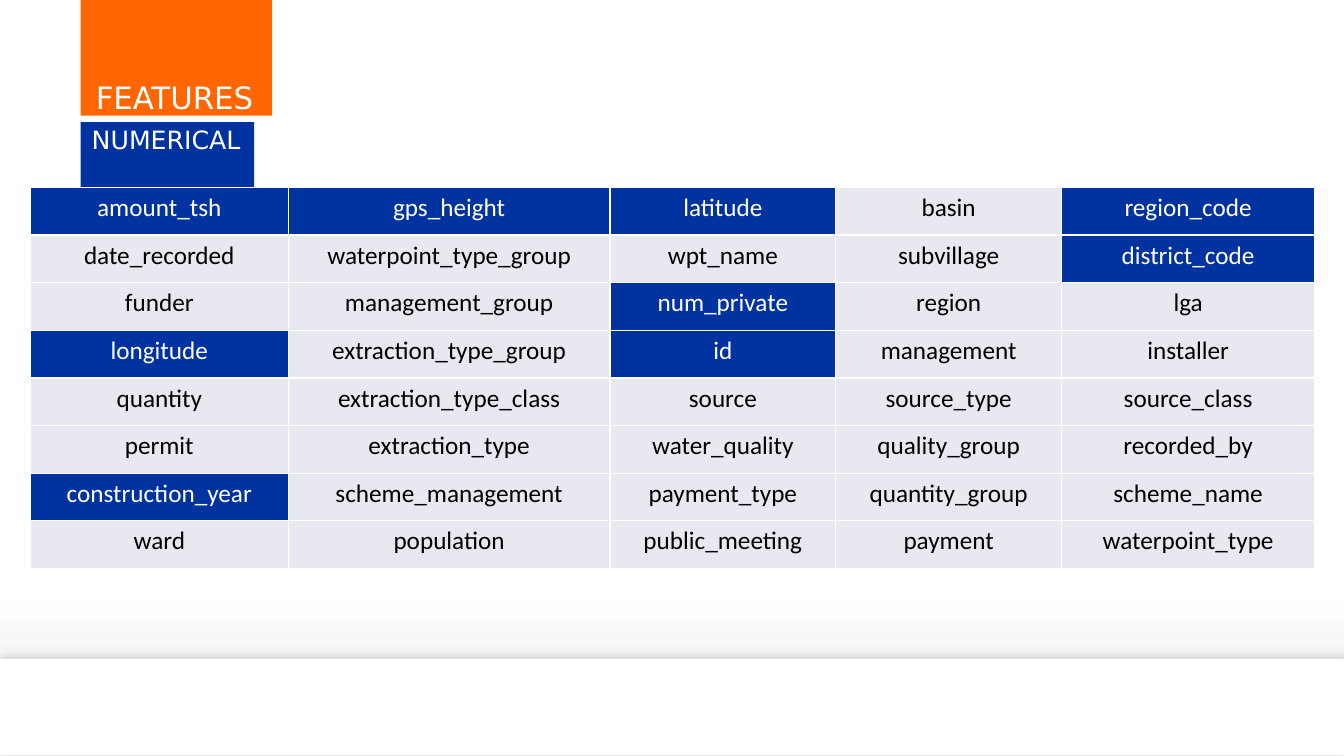
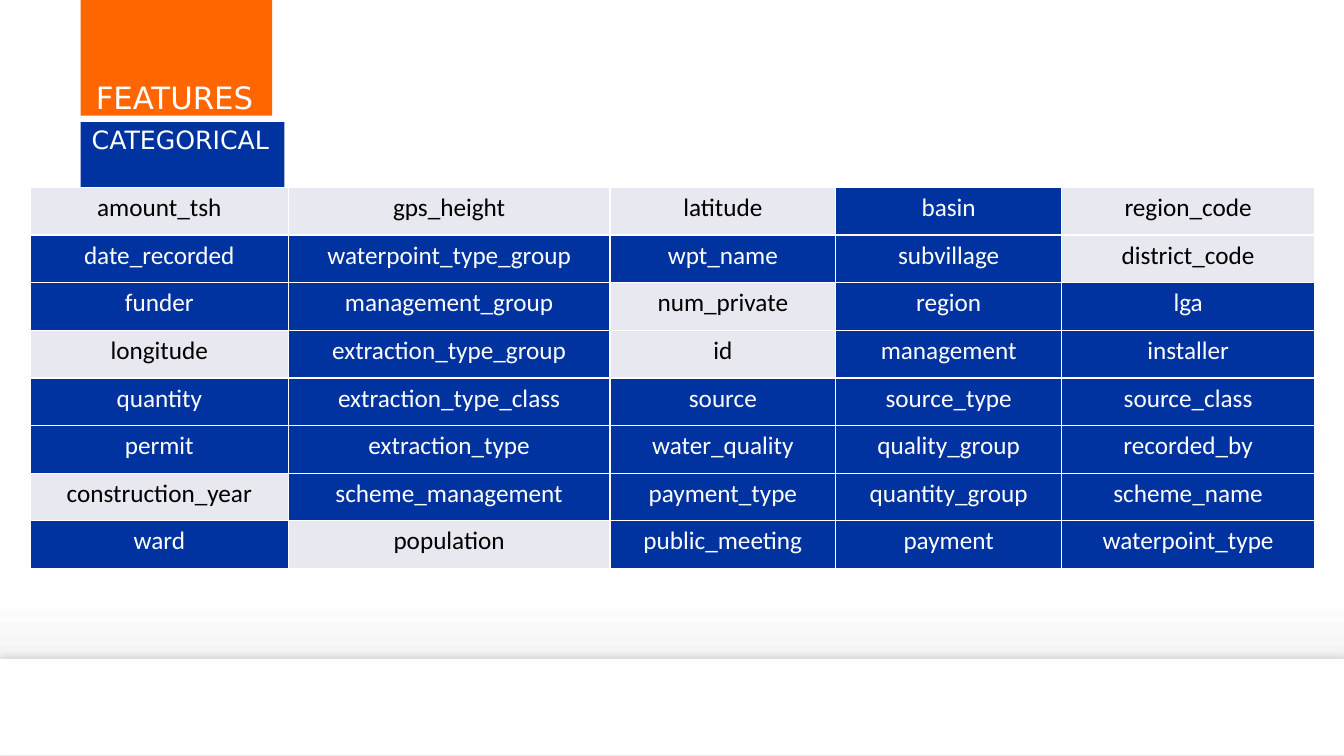
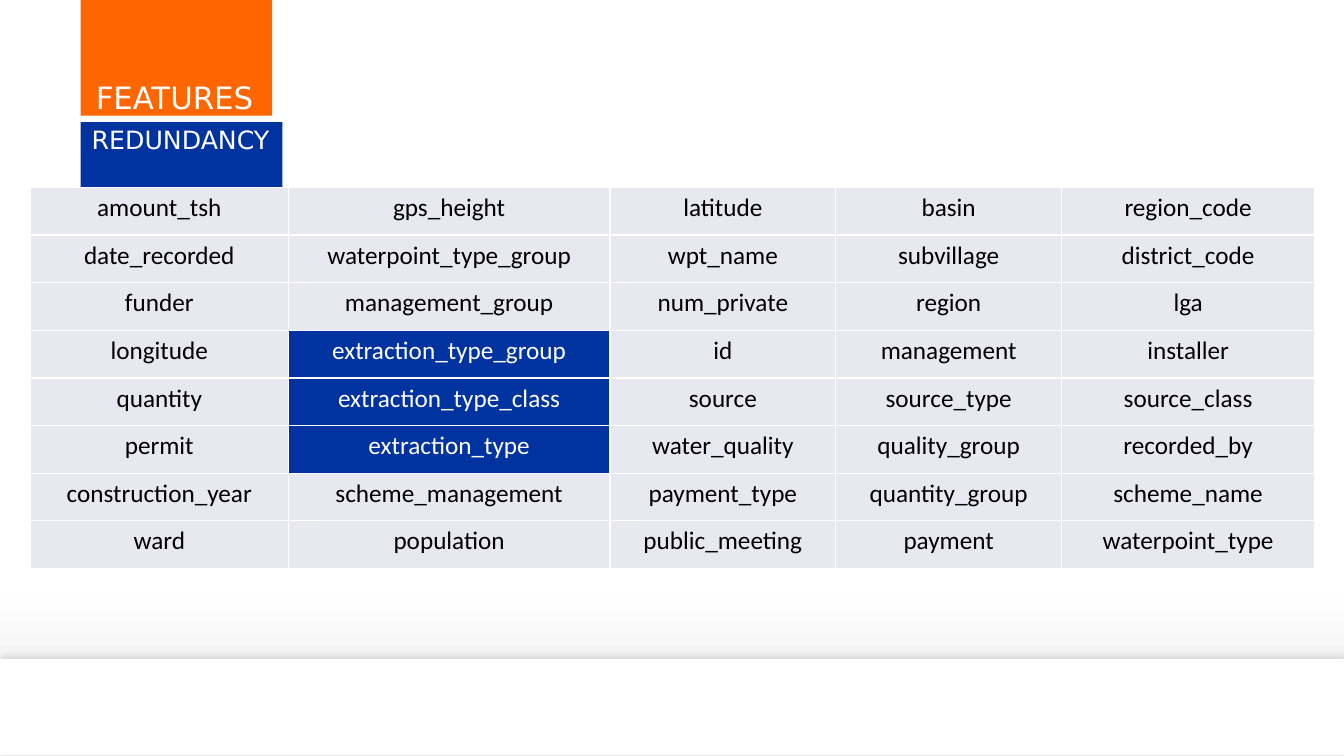
from collections import namedtuple
from copy import deepcopy

from lxml.etree import SubElement
from pptx import Presentation
from pptx.dml.color import RGBColor
from pptx.enum.shapes import MSO_SHAPE
from pptx.enum.text import MSO_ANCHOR, MSO_AUTO_SIZE, PP_ALIGN
from pptx.oxml.ns import qn
from pptx.util import Inches, Pt

Box = namedtuple("Box", "left top width height")

COLORS = {
    "white": "FFFFFF",
    "near_white": "FEFEFE",
    "mist": "EDEDED",
    "orange": "FF6600",
    "blue": "00339F",
    "pale": "E7E8F0",
    "black": "000000",
}
HEADING_FONT = "DejaVu Sans"
TABLE_FONT = "Calibri"
SLIDE_WIDTH, SLIDE_HEIGHT = Inches(13.33), Inches(7.5)

BAND_BOX = Box(0, Inches(6.54), SLIDE_WIDTH, Inches(0.95))
HEADING_BOX = Box(Inches(0.8), Inches(0.78), Inches(1.9), Inches(0.8))
TABLE_BOX = Box(Inches(0.3), Inches(1.16), Inches(12.74), Inches(4.48))
LABEL_SHARE = 0.46
COLUMN_WEIGHTS = (2.56, 3.19, 2.24, 2.24, 2.51)
SPACER_ROW = Inches(0.7)

FEATURES = [
    row.split()
    for row in (
        "amount_tsh gps_height latitude basin region_code",
        "date_recorded waterpoint_type_group wpt_name subvillage district_code",
        "funder management_group num_private region lga",
        "longitude extraction_type_group id management installer",
        "quantity extraction_type_class source source_type source_class",
        "permit extraction_type water_quality quality_group recorded_by",
        "construction_year scheme_management payment_type quantity_group scheme_name",
        "ward population public_meeting payment waterpoint_type",
    )
]
NUMERICAL = set(
    "amount_tsh gps_height latitude region_code district_code "
    "num_private longitude id construction_year".split()
)
CATEGORICAL = {name for row in FEATURES for name in row} - NUMERICAL - {"population"}
REDUNDANT = {"extraction_type_group", "extraction_type_class", "extraction_type"}
SECTIONS = (
    ("NUMERICAL", Inches(1.72), NUMERICAL),
    ("CATEGORICAL", Inches(2.02), CATEGORICAL),
    ("REDUNDANCY", Inches(2), REDUNDANT),
)


def rgb(name):
    return RGBColor.from_string(COLORS[name])


def paint(part, color):
    part.fill.solid()
    part.fill.fore_color.rgb = rgb(color)


def style_font(paragraph, face, size, color):
    paragraph.font.name = face
    paragraph.font.size = Pt(size)
    paragraph.font.color.rgb = rgb(color)


def style_background(layout):
    fill = layout.background.fill
    fill.gradient()
    fill.gradient_angle = 270
    first = fill.gradient_stops[0]
    first.color.rgb = rgb("white")
    first.position = 0
    last = fill.gradient_stops[1]
    last.color.rgb = rgb("mist")
    last.position = 0.92
    stop_list = layout.element.find(".//" + qn("a:gsLst"))
    stop_list.insert(1, deepcopy(stop_list[0]))
    middle = fill.gradient_stops[1]
    middle.color.rgb = rgb("near_white")
    middle.position = 0.79


def add_band(slide, box):
    band = slide.shapes.add_shape(MSO_SHAPE.RECTANGLE, *box)
    paint(band, "white")
    band.line.fill.background()
    band.shadow.inherit = False
    effects = band.element.spPr.find(qn("a:effectLst"))
    shadow = SubElement(
        effects, qn("a:outerShdw"),
        blurRad=str(Pt(4)), dist=str(Pt(3)), dir=str(270 * 60000),
    )
    tint = SubElement(shadow, qn("a:srgbClr"), val=COLORS["black"])
    SubElement(tint, qn("a:alpha"), val="10000")
    slide.slide_layout.shapes.element.insert(2, band.element)


def fill_label(label, text, box, color, size, indent, spacing, anchor, insets):
    label.left, label.top, label.width, label.height = box
    paint(label, color)
    frame = label.text_frame
    frame.text = text
    frame.word_wrap = False
    frame.auto_size = MSO_AUTO_SIZE.SHAPE_TO_FIT_TEXT
    frame.vertical_anchor = anchor
    frame.margin_left = 0
    frame.margin_top, frame.margin_right, frame.margin_bottom = map(Inches, insets)
    paragraph = frame.paragraphs[0]
    paragraph.alignment = PP_ALIGN.LEFT
    paragraph.line_spacing = spacing
    paragraph.space_before = Pt(0)
    properties = paragraph._p.get_or_add_pPr()
    properties.set("marL", str(Inches(indent)))
    properties.set("indent", "0")
    style_font(paragraph, HEADING_FONT, size, "white")


def add_heading(slide, box, section, section_width):
    title, subtitle = slide.placeholders
    height = int(box.height * LABEL_SHARE)
    fill_label(
        title, "FEATURES", box._replace(height=height), "orange",
        22, 0.15, 0.9, MSO_ANCHOR.BOTTOM, (0.04, 0.16, 0),
    )
    section_top = box.top + box.height - height
    fill_label(
        subtitle, section, Box(box.left, section_top, section_width, height), "blue",
        18, 0.11, 0.95, MSO_ANCHOR.TOP, (0.04, 0.1, 0.04),
    )


def add_borders(cell):
    properties = cell._tc.get_or_add_tcPr()
    for side in ("lnL", "lnR", "lnT", "lnB"):
        border = SubElement(properties, qn(f"a:{side}"), w=str(Pt(1)))
        solid = SubElement(border, qn("a:solidFill"))
        SubElement(solid, qn("a:srgbClr"), val=COLORS["white"])


def fill_feature(cell, feature, highlighted):
    add_borders(cell)
    paint(cell, "blue" if highlighted else "pale")
    cell.text = feature
    paragraph = cell.text_frame.paragraphs[0]
    paragraph.alignment = PP_ALIGN.CENTER
    style_font(paragraph, TABLE_FONT, 18, "white" if highlighted else "black")


def add_feature_table(slide, box, highlights):
    table = slide.shapes.add_table(len(FEATURES) + 1, len(COLUMN_WEIGHTS), *box).table
    table.first_row = table.horz_banding = False
    for column, weight in zip(table.columns, COLUMN_WEIGHTS):
        column.width = int(box.width * weight / sum(COLUMN_WEIGHTS))
    for row in table.rows:
        row.height = (box.height - SPACER_ROW) // len(FEATURES)
    table.rows[0].height = SPACER_ROW
    for spacer in table.rows[0].cells:
        spacer.fill.background()
    table.cell(0, 0).merge(table.cell(0, len(COLUMN_WEIGHTS) - 1))
    for row_number, features in enumerate(FEATURES, 1):
        for column_number, feature in enumerate(features):
            cell = table.cell(row_number, column_number)
            fill_feature(cell, feature, feature in highlights)


def main():
    deck = Presentation()
    deck.slide_width, deck.slide_height = SLIDE_WIDTH, SLIDE_HEIGHT
    layout = deck.slide_layouts[0]
    style_background(layout)
    for section, section_width, highlights in SECTIONS:
        slide = deck.slides.add_slide(layout)
        add_heading(slide, HEADING_BOX, section, section_width)
        add_feature_table(slide, TABLE_BOX, highlights)
    add_band(deck.slides[0], BAND_BOX)
    deck.save("out.pptx")


if __name__ == "__main__":
    main()
